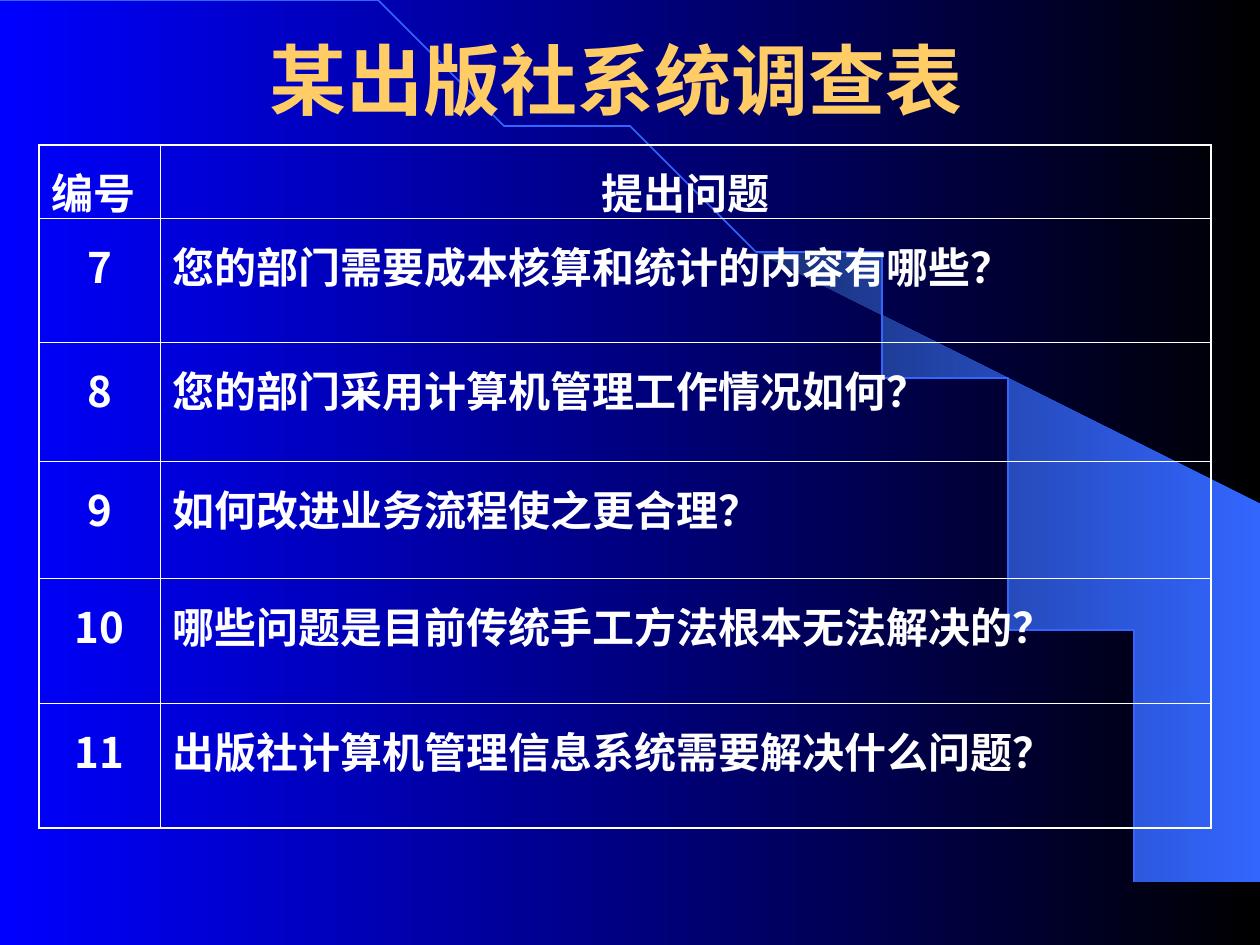
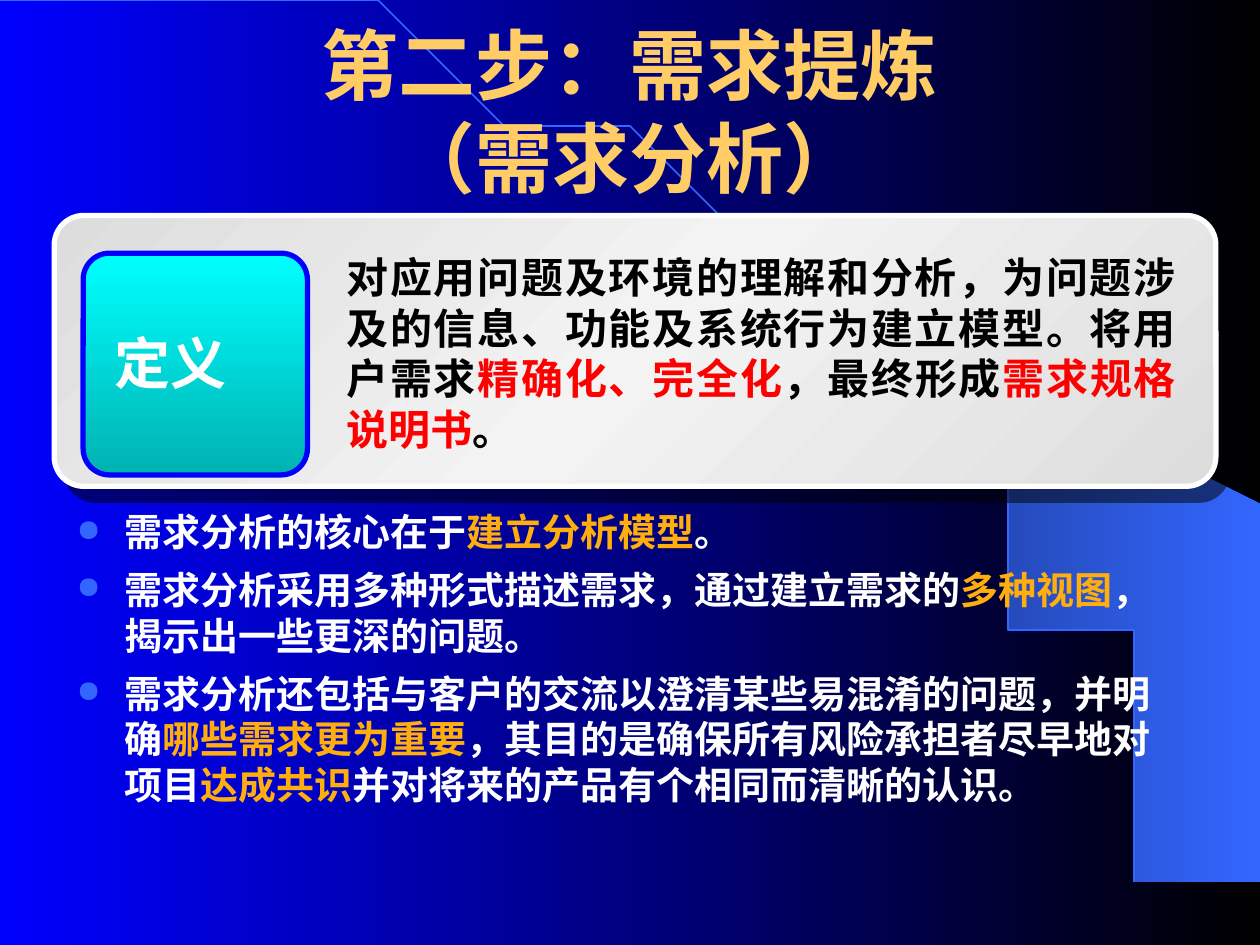
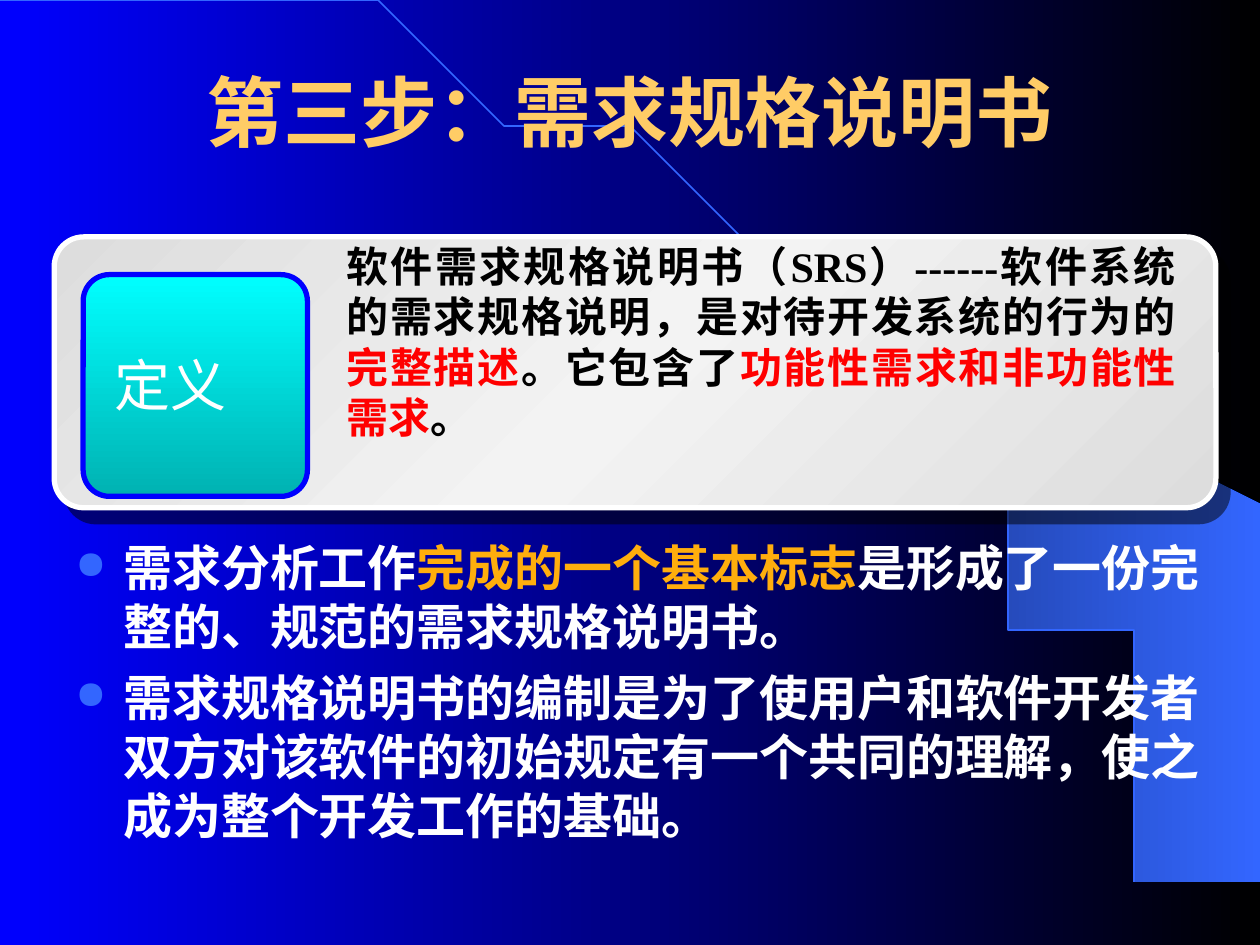
from dataclasses import dataclass

from lxml.etree import SubElement
from pptx import Presentation
from pptx.dml.color import RGBColor
from pptx.enum.shapes import MSO_SHAPE
from pptx.enum.text import MSO_ANCHOR, PP_ALIGN
from pptx.oxml.ns import qn
from pptx.util import Inches, Pt


@dataclass(frozen=True)
class Theme:
    # Colours
    blue: str = "0000FF"
    black: str = "000000"
    white: str = "FFFFFF"
    accent: str = "3366FF"
    accent_dark: str = "182F76"
    title: str = "FFCC66"
    highlight: str = "FFAE0D"
    red: str = "FF0000"
    panel_edge: str = "DDDDDD"
    panel_middle: str = "F3F3F3"
    cyan: str = "00FFFF"
    cyan_dark: str = "00B2B2"
    cyan_light: str = "74FFFF"
    # Fonts
    sans: str = "Arial"
    serif: str = "Times New Roman"
    chinese: str = "Noto Sans CJK SC"
    # Type sizes and line widths in points
    title_size: float = 44
    label_size: float = 32
    text_size: float = 24
    outer_border: float = 1.08
    inner_border: float = 0.45
    panel_border: float = 3


THEME = Theme()
ARC = [(0, 0), (5.08, 0), (9.2, 3.35), (9.2, 7.49)]
WING_START = 0.44  # where along the arc the bright wing begins


# ---- Drawing helpers ----
def rgb(code):
    return RGBColor.from_string(code)


def box(left, top, width, height):
    return [Inches(value) for value in (left, top, width, height)]


def paint_gradient(fill, owner, stops, angle=0):
    """Each stop is (percent, colour) or (percent, colour, opacity percent)."""
    fill.gradient()
    fill.gradient_angle = -angle % 360
    stop_list = owner.find(".//" + qn("a:gsLst"))
    for old_stop in list(stop_list):
        stop_list.remove(old_stop)
    for position, colour, *opacity in stops:
        stop = SubElement(stop_list, qn("a:gs"), pos=str(position * 1000))
        tint = SubElement(stop, qn("a:srgbClr"), val=colour)
        for percent in opacity:
            SubElement(tint, qn("a:alpha"), val=str(percent * 1000))


def set_line(shape, colour, width):
    shape.line.color.rgb = rgb(colour)
    shape.line.width = Pt(width)


def curve(points, start=0, steps=40):
    """Points along a cubic curve, from parameter start to its end."""
    result = []
    for step in range(steps + 1):
        t = start + (1 - start) * step / steps
        weights = ((1 - t) ** 3, 3 * t * (1 - t) ** 2, 3 * t * t * (1 - t), t ** 3)
        result.append(tuple(sum(w * p[axis] for w, p in zip(weights, points))
                            for axis in (0, 1)))
    return result


def add_outline(slide, points, close=True):
    builder = slide.shapes.build_freeform(*points[0], scale=Inches(1))
    builder.add_line_segments(points[1:], close=close)
    shape = builder.convert_to_shape()
    shape.shadow.inherit = False
    return shape


# ---- Text helpers ----
def set_font(paragraph, name, size, colour=None, bold=True):
    font = paragraph.font
    font.size, font.bold = Pt(size), bold
    if colour:
        font.color.rgb = rgb(colour)
    font.name = name
    defaults = paragraph._p.get_or_add_pPr().find(qn("a:defRPr"))
    SubElement(defaults, qn("a:ea"), typeface=THEME.chinese)


def add_runs(paragraph, parts, plain, emphasis):
    """Every second part is emphasised."""
    for index, part in enumerate(parts):
        run = paragraph.add_run()
        run.text = part
        run.font.color.rgb = rgb(emphasis if index % 2 else plain)


def add_bullet(paragraph):
    properties = paragraph._p.get_or_add_pPr()
    indent = Inches(0.38)
    properties.set("marL", str(indent))
    properties.set("indent", str(-indent))
    colour = SubElement(properties, qn("a:buClr"))
    SubElement(colour, qn("a:srgbClr"), val=THEME.accent)
    SubElement(properties, qn("a:buSzPct"), val="80000")
    SubElement(properties, qn("a:buChar"), char="●")


def add_text_frame(slide, place):
    frame = slide.shapes.add_textbox(*box(*place)).text_frame
    frame.word_wrap = True
    return frame


# ---- Slide parts ----
def add_background(slide):
    paint_gradient(slide.background.fill, slide._element,
                   [(0, THEME.blue), (100, THEME.black)])
    wing = add_outline(slide, curve(ARC, WING_START) + [(9.99, 7.49), (9.99, 4.23)])
    paint_gradient(wing.fill, wing._element,
                   [(0, THEME.accent_dark), (100, THEME.accent)])
    wing.line.fill.background()
    arc = add_outline(slide, curve(ARC), close=False)
    arc.fill.background()
    set_line(arc, THEME.accent, 1)


def add_title(slide, text, place=(0.5, 0, 9, 1.75), font=THEME.sans):
    frame = add_text_frame(slide, place)
    frame.vertical_anchor = MSO_ANCHOR.MIDDLE
    title = frame.paragraphs[0]
    title.text = text
    title.alignment = PP_ALIGN.CENTER
    set_font(title, font, THEME.title_size, THEME.title)


def add_bullets(slide, place, items, size):
    frame = add_text_frame(slide, place)
    for index, parts in enumerate(items):
        item = frame.add_paragraph() if index else frame.paragraphs[0]
        add_bullet(item)
        if index:
            item.space_before = Pt(7)
        set_font(item, THEME.serif, size)
        add_runs(item, parts, THEME.white, THEME.highlight)


def add_rounded(slide, place, rounding, stops, angle, edge):
    shape = slide.shapes.add_shape(MSO_SHAPE.ROUNDED_RECTANGLE, *box(*place))
    shape.adjustments[0] = rounding
    shape.shadow.inherit = False
    paint_gradient(shape.fill, shape._element, stops, angle)
    set_line(shape, edge, THEME.panel_border)
    return shape


def add_drop_shadow(shape):
    effects = shape._element.spPr.find(qn("a:effectLst"))
    shadow = SubElement(effects, qn("a:outerShdw"), dist=str(Pt(10.6)),
                        dir=str(49 * 60000), algn="ctr", rotWithShape="0")
    colour = SubElement(shadow, qn("a:srgbClr"), val=THEME.black)
    SubElement(colour, qn("a:alpha"), val="50000")


def add_definition(slide, top, text_top, parts, font, label_bold):
    # Panel and label tile
    panel = add_rounded(slide, (0.43, top, 9.22, 2.15), 0.109,
                        [(0, THEME.panel_edge), (50, THEME.panel_middle),
                         (100, THEME.panel_edge)], 45, THEME.white)
    add_drop_shadow(panel)
    add_rounded(slide, (0.66, top + 0.3, 1.78, 1.76), 0.119,
                [(0, THEME.cyan), (100, THEME.cyan_dark)], 90, THEME.blue)

    # Glossy corner
    bends = [
        [(0.76, 0.1), (0.66, 0.1), (0.58, 0.18), (0.58, 0.28)],
        [(0.58, 0.97), (0.62, 0.98), (0.6, 0.56), (0.82, 0.36)],
        [(0.82, 0.36), (1.05, 0.16), (1.47, 0.14), (1.46, 0.1)],
    ]
    gloss = add_outline(slide, [(x, top + y) for bend in bends
                                for x, y in curve(bend, steps=12)])
    paint_gradient(gloss.fill, gloss._element,
                   [(0, THEME.cyan_light), (50, THEME.cyan, 0),
                    (100, THEME.cyan_light)], 45)
    gloss.line.fill.background()

    # Label and definition
    label = add_text_frame(slide, (0.81, top + 0.85, 1.54, 0.64)).paragraphs[0]
    label.text = "定义"
    set_font(label, THEME.sans, THEME.label_size, THEME.white, label_bold)
    definition = add_text_frame(slide, (2.65, text_top, 6.78, 1.7)).paragraphs[0]
    definition.alignment = PP_ALIGN.JUSTIFY
    set_font(definition, font, THEME.text_size)
    add_runs(definition, parts, THEME.black, THEME.red)


def set_borders(cell, outer_sides):
    properties = cell._tc.get_or_add_tcPr()
    for side in "LRTB":
        width = THEME.outer_border if side in outer_sides else THEME.inner_border
        border = SubElement(properties, qn("a:ln" + side), w=str(Pt(width)))
        fill = SubElement(border, qn("a:solidFill"))
        SubElement(fill, qn("a:srgbClr"), val=THEME.white)


def add_question_table(slide, place, rows, widths, heights):
    table = slide.shapes.add_table(len(rows), len(widths), *box(*place)).table
    table.first_row = table.horz_banding = False
    for column, width in zip(table.columns, widths):
        column.width = Inches(width)
    for row, height in zip(table.rows, heights):
        row.height = Inches(height)
    for r, row in enumerate(rows):
        for c, text in enumerate(row):
            cell = table.cell(r, c)
            outer = "L" if c == 0 else "R"
            outer += "T" if r == 0 else "B" if r == len(rows) - 1 else ""
            set_borders(cell, outer)
            cell.fill.background()
            cell.margin_top = Inches(0.13)
            entry = cell.text_frame.paragraphs[0]
            entry.text = text
            # Numbers and the question heading are centred
            if (r == 0) != (c == 0):
                entry.alignment = PP_ALIGN.CENTER
            set_font(entry, THEME.chinese, THEME.text_size, THEME.white)


# ---- Slides ----
def build_survey(slide):
    add_title(slide, "某出版社系统调查表", (0, 0.34, 9.78, 0.57), THEME.chinese)
    questions = [
        "您的部门需要成本核算和统计的内容有哪些？",
        "您的部门采用计算机管理工作情况如何？",
        "如何改进业务流程使之更合理？",
        "哪些问题是目前传统手工方法根本无法解决的？",
        "出版社计算机管理信息系统需要解决什么问题？",
    ]
    rows = [("编号", "提出问题")]
    rows += [(str(number), question) for number, question in enumerate(questions, 7)]
    add_question_table(slide, (0.31, 1.15, 9.3, 5.35), rows, (0.96, 8.34),
                       (0.52, 0.99, 0.94, 0.93, 0.99, 0.99))


def build_refinement(slide):
    add_title(slide, "第二步：需求提炼\n（需求分析）")
    add_bullets(slide, (0.51, 3.99, 9, 2.99), [
        ("需求分析的核心在于", "建立分析模型", "。"),
        ("需求分析采用多种形式描述需求，通过建立需求的", "多种视图",
         "，揭示出一些更深的问题。"),
        ("需求分析还包括与客户的交流以澄清某些易混淆的问题，并明确",
         "哪些需求更为重要", "，其目的是确保所有风险承担者尽早地对项目",
         "达成共识", "并对将来的产品有个相同而清晰的认识。"),
    ], 21.7)
    add_definition(slide, 1.71, 1.95, (
        "对应用问题及环境的理解和分析，为问题涉及的信息、功能及系统行为建立模型。将用户需求",
        "精确化、完全化", "，最终形成", "需求规格说明书", "。"), THEME.sans, True)


def build_specification(slide):
    add_title(slide, "第三步：需求规格说明书")
    add_bullets(slide, (0.5, 4.22, 9.15, 3.03), [
        ("需求分析工作", "完成的一个基本标志",
         "是形成了一份完整的、规范的需求规格说明书。"),
        ("需求规格说明书的编制是为了使用户和软件开发者双方对该软件的初始规定"
         "有一个共同的理解，使之成为整个开发工作的基础。",),
    ], 28)
    add_definition(slide, 1.88, 1.86, (
        "软件需求规格说明书（SRS）------软件系统的需求规格说明，是对待开发系统的行为的",
        "完整描述", "。它包含了", "功能性需求和非功能性需求", "。"), THEME.serif, False)


def main():
    deck = Presentation()
    deck.slide_width, deck.slide_height = Inches(10), Inches(7.5)
    for build in (build_survey, build_refinement, build_specification):
        slide = deck.slides.add_slide(deck.slide_layouts[6])
        add_background(slide)
        build(slide)
    deck.save("out.pptx")


if __name__ == "__main__":
    main()
